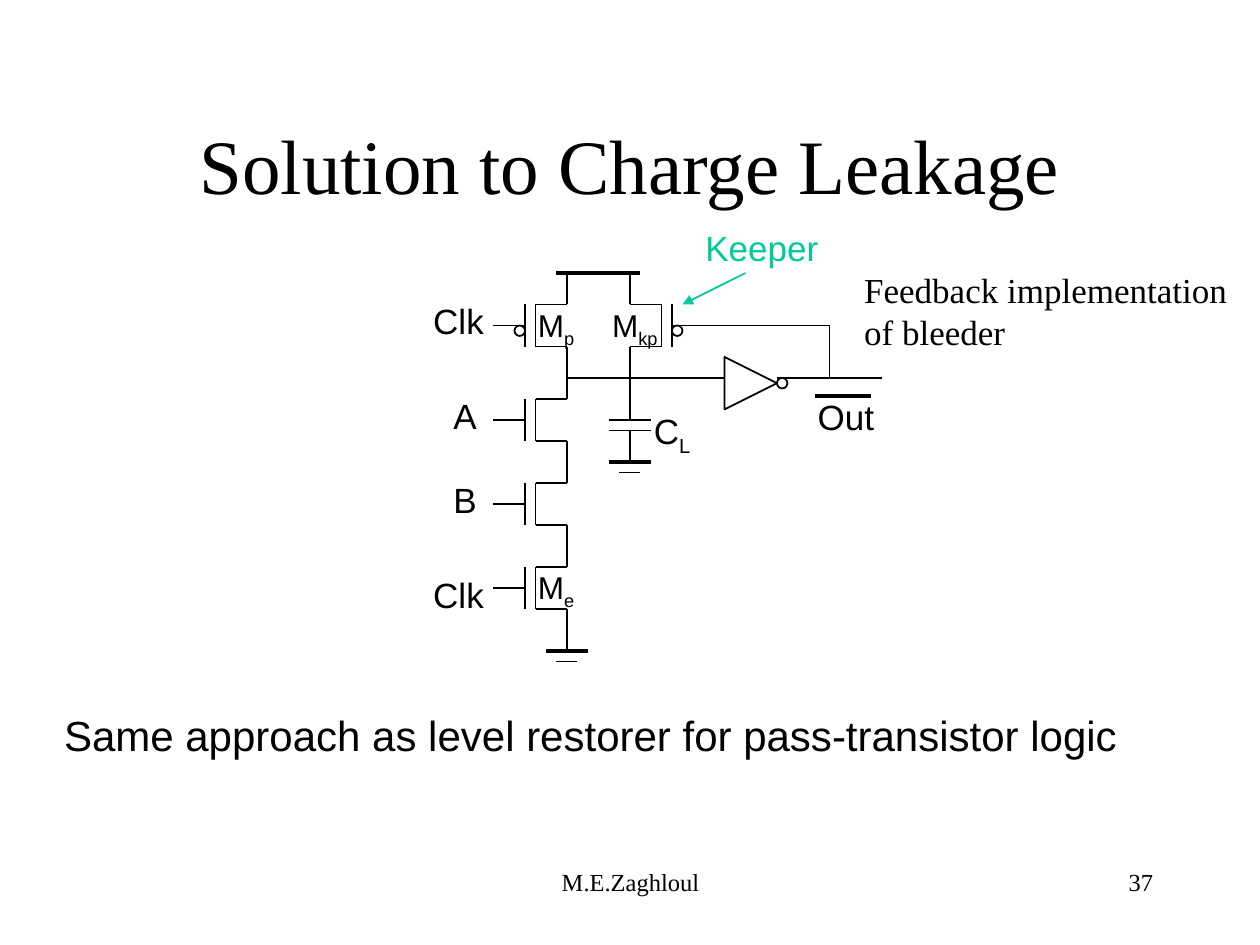
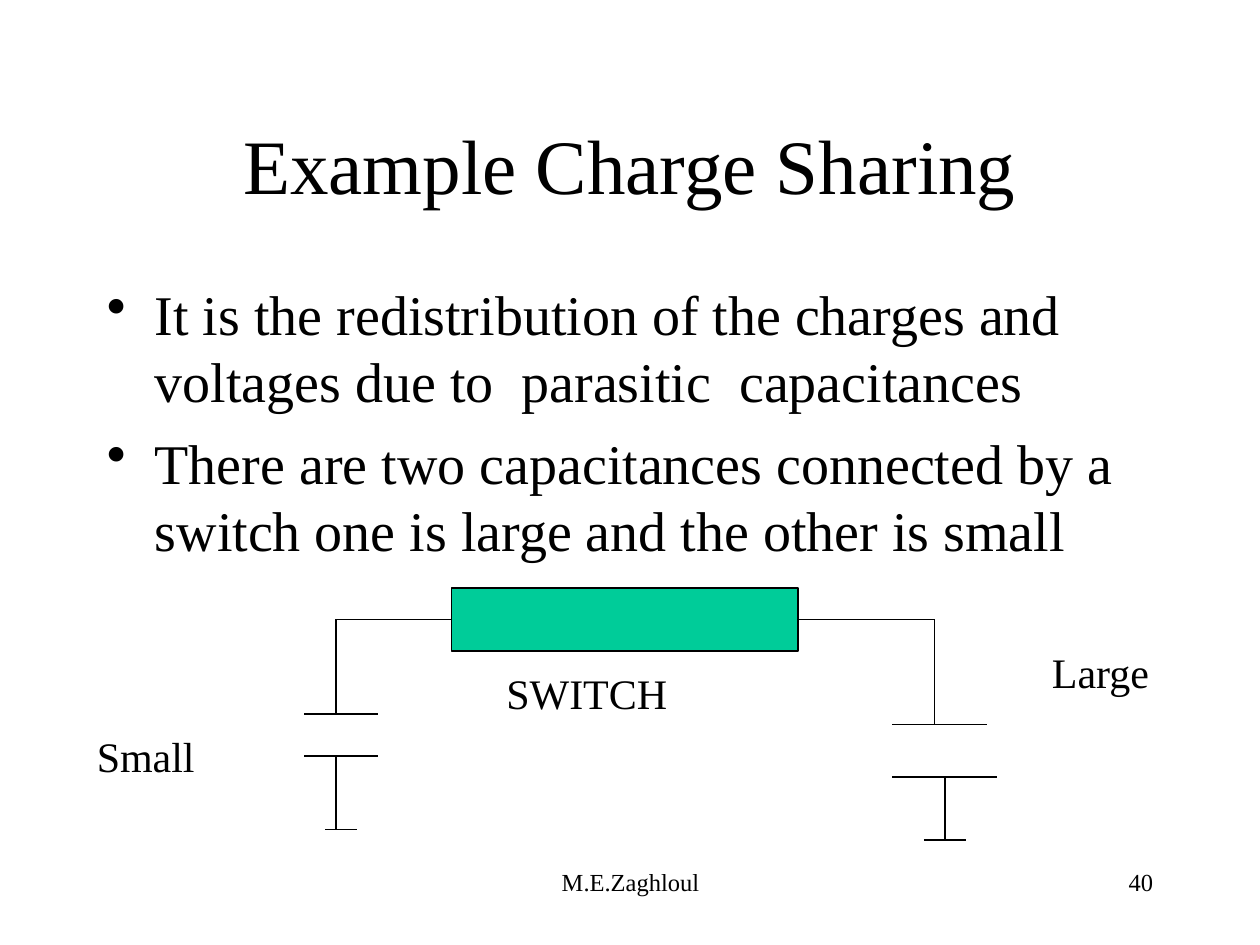
from pptx import Presentation
from pptx.dml.color import RGBColor
from pptx.enum.shapes import MSO_CONNECTOR, MSO_SHAPE as Geo
from pptx.enum.text import MSO_ANCHOR as Anchor, PP_ALIGN as Align
from pptx.oxml.ns import qn
from pptx.util import Inches, Pt
from lxml import etree

BLACK = RGBColor(0x00, 0x00, 0x00)
GREEN = RGBColor(0x00, 0xCC, 0x99)
SERIF, SANS = "Times New Roman", "Arial"
GRID = 12  # drawing grid steps per inch
THIN, WIRE, THICK = 0.75, 1, 2.25

AUTHOR = "M.E.Zaghloul"

# Slide 37: parts on the grid, labels in inches
FETS = [  # drain x, top y, side of the gate (1 left, -1 right), p-type
    (54, 29, 1, True),
    (54, 38, 1, False),
    (54, 46, 1, False),
    (54, 54, 1, False),
    (60, 29, -1, True),
]
GROUNDS = [(60, 44), (54, 62)]
WIRES = [
    (54, 36, 69, 36),  # dynamic node
    (74, 36, 84, 36),  # output
    (66, 31, 79, 31),  # feedback
    (79, 31, 79, 36),
    (60, 36, 60, 40),  # load capacitor
    (58, 40, 62, 40),
    (58, 41, 62, 41),
]
BARS = [(53, 26, 61, 26), (77.64, 37.68, 82.92, 37.68)]  # supply, overline
ARROW = (71, 26, 65, 29)
LABELS = [  # left, top, width, text, subscript, size, colour
    (3.34, 2.33, 0.6, "Clk", "", 20, BLACK),
    (3.5, 3.08, 0.38, "A", "", 20, BLACK),
    (3.5, 3.75, 0.38, "B", "", 20, BLACK),
    (3.34, 4.5, 0.6, "Clk", "", 20, BLACK),
    (4.17, 2.42, 0.49, "M", "p", 18, BLACK),
    (4.76, 2.42, 0.56, "M", "kp", 18, BLACK),
    (4.17, 4.5, 0.49, "M", "e", 18, BLACK),
    (5.09, 3.25, 0.49, "C", "L", 20, BLACK),
    (6.39, 3.09, 0.65, "Out", "", 20, BLACK),
    (5.5, 1.75, 1.1, "Keeper", "", 20, GREEN),
]
REMARK = ["Feedback implementation", "of bleeder"]
SUMMARY = "Same approach as level restorer for pass-transistor logic"

# Slide 40
POINTS = [
    "It is the redistribution of the charges and voltages due to  parasitic  capacitances",
    "There are two capacitances connected by a switch one is large and the other is small",
]
SWITCH = (43, 56, 33, 6)
LEADS = [(1, (43, 59, 32, 59)), (3, (76, 59, 89, 59))]  # switch side, line
PLATES = [
    (32, 59, 32, 68), (29, 68, 36, 68), (29, 72, 36, 72),
    (32, 72, 32, 79), (31, 79, 34, 79),
    (89, 59, 89, 69), (85, 69, 94, 69), (85, 74, 95, 74),
    (90, 74, 90, 80), (88, 80, 92, 80),
]
NAMES = [(3.92, 5.25, 2, "SWITCH"), (8.25, 5.08, 1.25, "Large"),
         (0.67, 5.75, 1.33, "Small")]


def unit(n):
    return Inches(n / GRID)


def line(slide, ends, width=WIRE, color=BLACK):
    link = slide.shapes.add_connector(MSO_CONNECTOR.STRAIGHT, *map(unit, ends))
    link.line.color.rgb = color
    link.line.width = Pt(width)
    etree.SubElement(link._element.spPr, qn("a:effectLst"))
    return link


def shape(slide, kind, box, width=WIRE, fill=None):
    item = slide.shapes.add_shape(kind, *map(unit, box))
    item.shadow.inherit = False
    if fill is None:
        item.fill.background()
    else:
        item.fill.solid()
        item.fill.fore_color.rgb = fill
    item.line.color.rgb = BLACK
    item.line.width = Pt(width)
    return item


def text(slide, box, rows, size, font=SERIF, color=BLACK, align=Align.LEFT,
         anchor=Anchor.TOP, wrap=True):
    frame = slide.shapes.add_textbox(*map(Inches, box)).text_frame
    frame.word_wrap = wrap
    frame.vertical_anchor = anchor
    for i, row in enumerate(rows):
        para = frame.add_paragraph() if i else frame.paragraphs[0]
        para.text = row
        para.alignment = align
        para.line_spacing = Pt(1.2 * size)
        para.font.name = font
        para.font.size = Pt(size)
        para.font.color.rgb = color
    return frame


def bullet(para):
    para.space_before = Pt(8)
    props = para._p.get_or_add_pPr()
    props.set("marL", str(Inches(0.38)))
    props.set("indent", str(-Inches(0.38)))
    etree.SubElement(props, qn("a:buChar")).set("char", "•")
    # Bullet marks must come before the default run properties
    runs = props.find(qn("a:defRPr"))
    if runs is not None:
        props.append(runs)


def page(deck, title, number):
    """Add a slide with the shared title and footers."""
    slide = deck.slides.add_slide(deck.slide_layouts[6])
    text(slide, (3.42, 6.83, 3.17, 0.5), [AUTHOR], 14, align=Align.CENTER)
    text(slide, (7.17, 6.83, 2.08, 0.5), [str(number)], 14, align=Align.RIGHT)
    text(slide, (0.75, 0.67, 8.5, 1.25), [title], 44,
         align=Align.CENTER, anchor=Anchor.MIDDLE)
    return slide


def fet(slide, x, y, side, ptype):
    """Draw a transistor whose channel runs down the line at x."""
    body, gate, tip = x - 3 * side, x - 4 * side, x - 7 * side
    for ends in [
        (body, y, x, y), (body, y, body, y + 4), (body, y + 4, x, y + 4),
        (gate, y, gate, y + 4), (tip, y + 2, gate, y + 2),
        (x, y - 3, x, y), (x, y + 4, x, y + 7),
    ]:
        line(slide, ends)
    if ptype:
        shape(slide, Geo.OVAL, (min(gate, gate - side), y + 2, 1, 1))


def ground(slide, x, y):
    line(slide, (x, y - 3, x, y))
    line(slide, (x - 2, y, x + 2, y), THICK)
    line(slide, (x - 1, y + 1, x + 1, y + 1))


def leakage(deck):
    slide = page(deck, "Solution to Charge Leakage", 37)
    for part in FETS:
        fet(slide, *part)
    for ends in WIRES:
        line(slide, ends)
    for ends in BARS:
        line(slide, ends, THICK)
    for spot in GROUNDS:
        ground(slide, *spot)
    shape(slide, Geo.ISOSCELES_TRIANGLE, (69, 34, 5, 5)).rotation = 90
    shape(slide, Geo.OVAL, (74, 36, 1, 1))
    arrow = line(slide, ARROW, color=GREEN)
    etree.SubElement(arrow.line._get_or_add_ln(),
                     qn("a:tailEnd")).set("type", "triangle")
    for left, top, width, word, sub, size, color in LABELS:
        frame = text(slide, (left, top, width, 0.44), [word], size, SANS,
                     color, wrap=False)
        if sub:
            run = frame.paragraphs[0].add_run()
            run.text = sub
            run._r.get_or_add_rPr().set("baseline", "-25000")
    text(slide, (6.76, 2.08, 3.08, 0.77), REMARK, 20, wrap=False)
    text(slide, (0.41, 5.58, 8.72, 0.5), [SUMMARY], 24, SANS)


def sharing(deck):
    slide = page(deck, "Example Charge Sharing", 40)
    frame = text(slide, (0.75, 2.17, 8.5, 4.5), POINTS, 32)
    for para in frame.paragraphs:
        bullet(para)
    switch = shape(slide, Geo.RECTANGLE, SWITCH, THIN, GREEN)
    for side, ends in LEADS:
        line(slide, ends, THIN).begin_connect(switch, side)
    for ends in PLATES:
        line(slide, ends, THIN)
    for left, top, width, name in NAMES:
        text(slide, (left, top, width, 0.5), [name], 24)


def main():
    deck = Presentation()
    deck.slide_width, deck.slide_height = Inches(10), Inches(7.5)
    leakage(deck)
    sharing(deck)
    deck.save("out.pptx")


if __name__ == "__main__":
    main()
